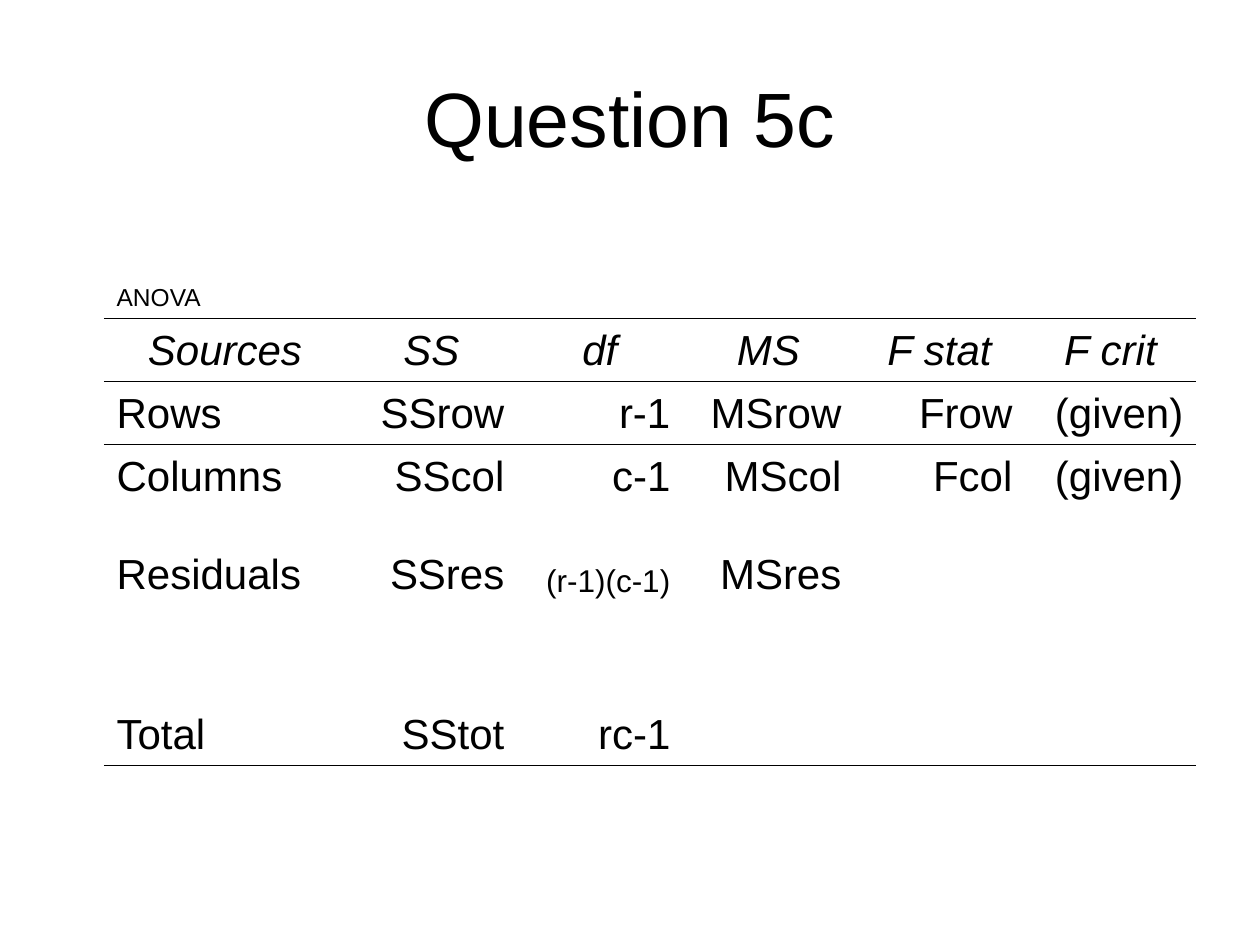
from lxml.etree import SubElement as Sub
from pptx import Presentation
from pptx.dml.color import RGBColor as Rgb
from pptx.enum.text import MSO_ANCHOR as Anchor, PP_ALIGN as Align
from pptx.oxml.ns import qn
from pptx.util import Pt

SCALE = 914400 // 126
LEFT, MID, RIGHT = Align.LEFT, Align.CENTER, Align.RIGHT
PLAIN = "{2D5ABB26-0587-4C30-8999-92F81FD0307C}"
WIDTHS = [242, 171, 166, 171, 171, 171]
HEIGHTS = [98, 63, 63, 63, 98, 97, 63, 98]
ROWS = [
    ["ANOVA"],
    ["Sources", "SS", "df", "MS", "F stat", "F crit"],
    ["Rows", "SSrow", "r-1", "MSrow", "Frow", "(given)"],
    ["Columns", "SScol", "c-1", "MScol", "Fcol", "(given)"],
    ["Residuals", "SSres", "(r-1)(c-1)", "MSres"],
    [],
    ["Total", "SStot", "rc-1"],
    [],
]
RULED = {0, 1, 6}
HEAD = 1
SIZES = {"ANOVA": 14, "(r-1)(c-1)": 18}


def px(n):
    """Turn pixels into EMU."""
    return n * SCALE


def tint(code):
    """Turn a hex string into a colour."""
    return Rgb.from_string(code)


class Deck:
    """Hold the style and the current slide."""

    font = "Arial"
    ink = "000000"
    rule = 0.45

    def __init__(self, wide, high):
        """Start a deck with one blank slide."""
        self.show = Presentation()
        self.show.slide_width, self.show.slide_height = px(wide), px(high)
        self.slide = self.show.slides.add_slide(self.show.slide_layouts[6])

    def put(self, para, text, size, align, slant=False):
        """Add one styled run to a paragraph."""
        para.alignment = align
        run = para.add_run()
        run.text = text
        font = run.font
        font.name, font.size, font.italic = self.font, Pt(size), slant
        font.color.rgb = tint(self.ink)

    def title(self, text, x, y, w, h):
        """Add the centred heading."""
        box = self.slide.shapes.add_textbox(px(x), px(y), px(w), px(h))
        frame = box.text_frame
        frame.word_wrap = True
        frame.vertical_anchor = Anchor.MIDDLE
        self.put(frame.paragraphs[0], text, 44, MID)

    def edge(self, cell, side):
        """Draw a thin line on one side of a cell."""
        props = cell._tc.get_or_add_tcPr()
        line = Sub(props, qn("a:ln" + side), w=str(Pt(self.rule)))
        fill = Sub(line, qn("a:solidFill"))
        Sub(fill, qn("a:srgbClr"), val=self.ink)

    def cell(self, cell, text, row, col):
        """Style and fill one table cell."""
        cell.vertical_anchor = Anchor.BOTTOM
        if row - 1 in RULED:
            self.edge(cell, "T")
        if row in RULED:
            self.edge(cell, "B")
        cell.fill.background()
        if text:
            para = cell.text_frame.paragraphs[0]
            props = para._p.get_or_add_pPr()
            props.set("marL", str(px(48)))
            props.set("indent", str(px(-48)))
            align = MID if row == HEAD else RIGHT if col else LEFT
            self.put(para, text, SIZES.get(text, 24), align, row == HEAD)

    def table(self, rows, x, y):
        """Add the ruled table."""
        frame = self.slide.shapes.add_table(
            len(rows), len(WIDTHS), px(x), px(y),
            px(sum(WIDTHS)), px(sum(HEIGHTS)))
        grid = frame.table
        grid.first_row = grid.horz_banding = False
        grid._tbl.tblPr.find(qn("a:tableStyleId")).text = PLAIN
        for col, wide in zip(grid.columns, WIDTHS):
            col.width = px(wide)
        for r, (texts, high) in enumerate(zip(rows, HEIGHTS)):
            grid.rows[r].height = px(high)
            for c in range(len(WIDTHS)):
                text = texts[c] if c < len(texts) else ""
                self.cell(grid.cell(r, c), text, r, c)


def main():
    """Build the slide and save it."""
    deck = Deck(1260, 945)
    deck.title("Question 5c", 63, 38, 1134, 158)
    deck.table(ROWS, 104, 220)
    deck.show.save("out.pptx")


if __name__ == "__main__":
    main()
